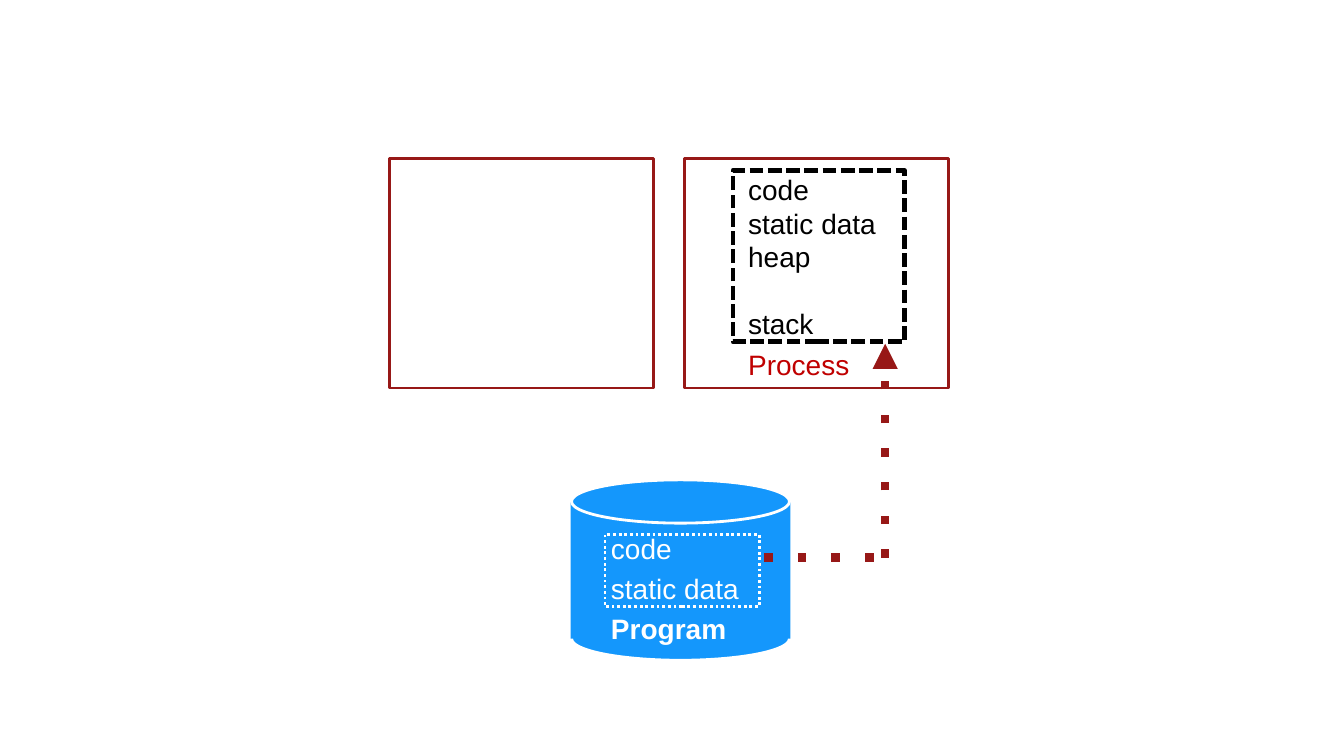
from collections import namedtuple
from dataclasses import dataclass

from pptx import Presentation
from pptx.dml.color import RGBColor
from pptx.enum.dml import MSO_LINE_DASH_STYLE as Dash
from pptx.enum.shapes import MSO_CONNECTOR as Connector, MSO_SHAPE as Shape
from pptx.enum.text import MSO_ANCHOR as Anchor, PP_ALIGN as Align
from pptx.oxml.ns import qn
from pptx.util import Inches, Pt
from lxml.etree import SubElement


@dataclass(frozen=True)
class Theme:
    font: str = "Arial"
    size: float = 20
    leading: float = 24
    white: str = "FFFFFF"
    black: str = "000000"
    disk: str = "1497FC"
    frame: str = "971817"
    accent: str = "C00000"


THEME = Theme()
Box = namedtuple("Box", "left top width height")
PAGE = Box(0, 0, 13.33, 7.5)


def inside(box, left, top, width, height):
    """Return a box given in percent of the enclosing box."""
    return Box(box.left + box.width * left / 100, box.top + box.height * top / 100,
               box.width * width / 100, box.height * height / 100)


def style_line(line, color, width, dash=None):
    line.color.rgb = RGBColor.from_string(color)
    line.width = Pt(width)
    if dash is not None:
        line.dash_style = dash


def add_figure(slide, kind, box, fill=None, line=None, width=2, dash=None):
    figure = slide.shapes.add_shape(kind, *map(Inches, box))
    figure.shadow.inherit = False
    if fill:
        figure.fill.solid()
        figure.fill.fore_color.rgb = RGBColor.from_string(fill)
    else:
        figure.fill.background()
    if line:
        style_line(figure.line, line, width, dash)
    else:
        figure.line.fill.background()


def add_lines(slide, box, lines, color):
    """Write one paragraph for each (text, format) pair."""
    frame = slide.shapes.add_textbox(*map(Inches, box)).text_frame
    frame.word_wrap = True
    frame.vertical_anchor = Anchor.MIDDLE
    frame.margin_left = frame.margin_right = Inches(0.04)
    frame.margin_top = frame.margin_bottom = Inches(0.04)
    for index, (text, style) in enumerate(lines):
        para = frame.add_paragraph() if index else frame.paragraphs[0]
        para.alignment = Align.LEFT
        para.line_spacing = Pt(THEME.leading * style.get("spacing", 1))
        para.space_before = Pt(THEME.leading * style.get("gap", 0))
        span = para.add_run()
        span.text = text
        span.font.name = THEME.font
        span.font.size = Pt(THEME.size)
        span.font.bold = style.get("bold", False)
        span.font.color.rgb = RGBColor.from_string(style.get("color", color))


def add_dotted_line(slide, start, end, arrow=False):
    link = slide.shapes.add_connector(Connector.STRAIGHT, *map(Inches, start + end))
    style_line(link.line, THEME.frame, 6, Dash.ROUND_DOT)
    outline = link.line._get_or_add_ln()
    outline.find(qn("a:prstDash")).set("val", "dot")
    if arrow:
        SubElement(outline, qn("a:tailEnd"), type="triangle")
    SubElement(link._element.spPr, qn("a:effectLst"))


def add_cpu(slide, box):
    add_figure(slide, Shape.RECTANGLE, box, THEME.white, THEME.frame)


def add_memory(slide, box):
    add_figure(slide, Shape.RECTANGLE, box, THEME.white, THEME.frame)
    add_lines(slide, inside(box, 22.5, 4.4, 53.4, 94.3), [
        ("code", {}),
        ("static data", {}),
        ("heap", {}),
        ("stack", {"gap": 1}),
        ("Process", {"spacing": 1.2, "color": THEME.accent}),
    ], THEME.black)
    add_figure(slide, Shape.RECTANGLE, inside(box, 18.3, 5.3, 64.9, 74.6),
               line=THEME.black, width=3.25, dash=Dash.SQUARE_DOT)


def add_program_disk(slide, box):
    rim = 24
    add_figure(slide, Shape.OVAL, inside(box, 0.4, 100 - rim, 99.2, rim),
               THEME.disk, THEME.white)
    add_figure(slide, Shape.RECTANGLE, inside(box, 0, rim / 2, 100, 100 - rim), THEME.disk)
    add_figure(slide, Shape.OVAL, inside(box, 0.4, 0, 99.2, rim), THEME.disk, THEME.white)
    add_lines(slide, inside(box, 16.5, 29.6, 64.2, 64.8), [
        ("code", {"spacing": 0.8}),
        ("static data", {"spacing": 1.2}),
        ("Program", {"spacing": 1.2, "bold": True}),
    ], THEME.white)
    add_figure(slide, Shape.RECTANGLE, inside(box, 15.6, 30.2, 70.2, 40.2),
               line=THEME.white, dash=Dash.ROUND_DOT)


def add_loading_arrow(slide, box):
    """Lead from the left end of the box, along its foot, up to its head."""
    foot = box.top + box.height
    turn = box.left + box.width * 0.945
    add_dotted_line(slide, (turn, foot), (turn, box.top), arrow=True)
    add_dotted_line(slide, (box.left, foot), (box.left + box.width, foot))


def main():
    deck = Presentation()
    deck.slide_width, deck.slide_height = Inches(PAGE.width), Inches(PAGE.height)
    slide = deck.slides.add_slide(deck.slide_layouts[6])
    add_program_disk(slide, inside(PAGE, 42.46, 63.47, 16.35, 23.87))
    add_cpu(slide, inside(PAGE, 28.96, 20.93, 19.65, 30.4))
    add_memory(slide, inside(PAGE, 50.94, 20.93, 19.65, 30.4))
    add_loading_arrow(slide, inside(PAGE, 56.86, 45.47, 9.53, 28.3))
    deck.save("out.pptx")


if __name__ == "__main__":
    main()
